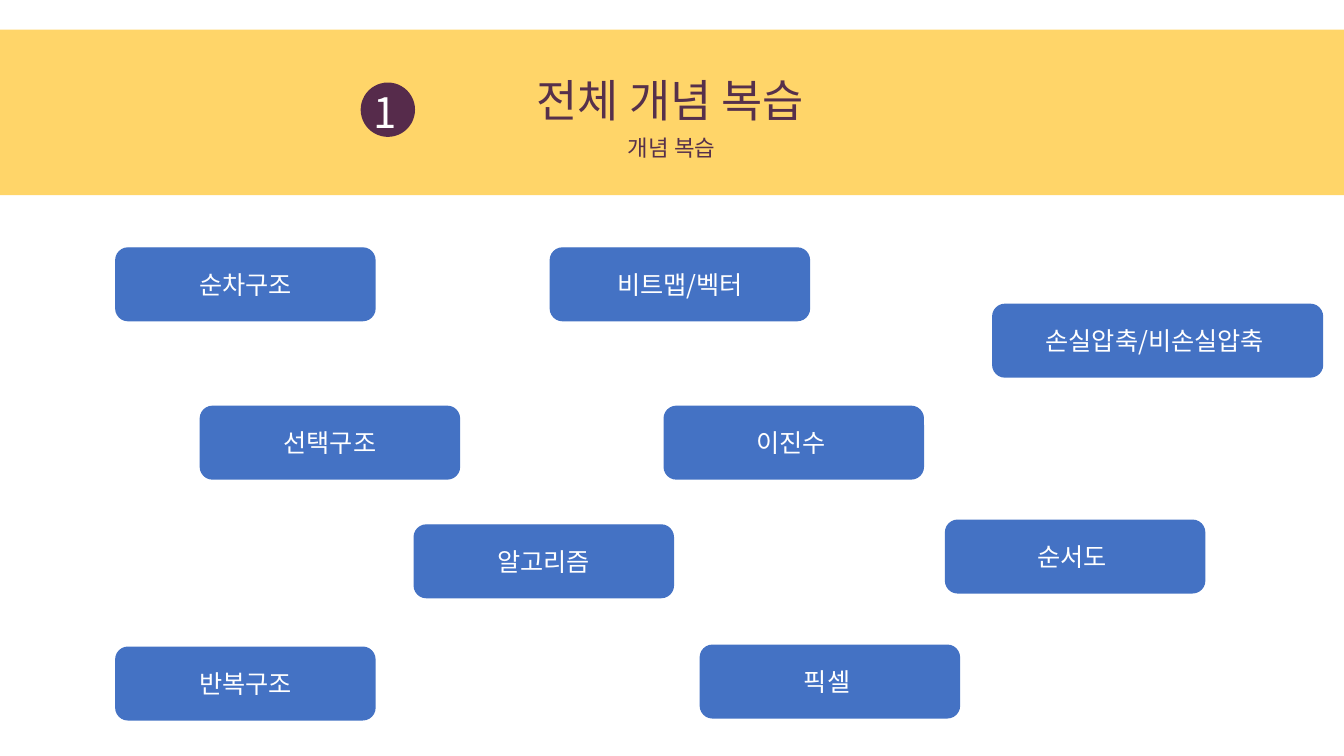
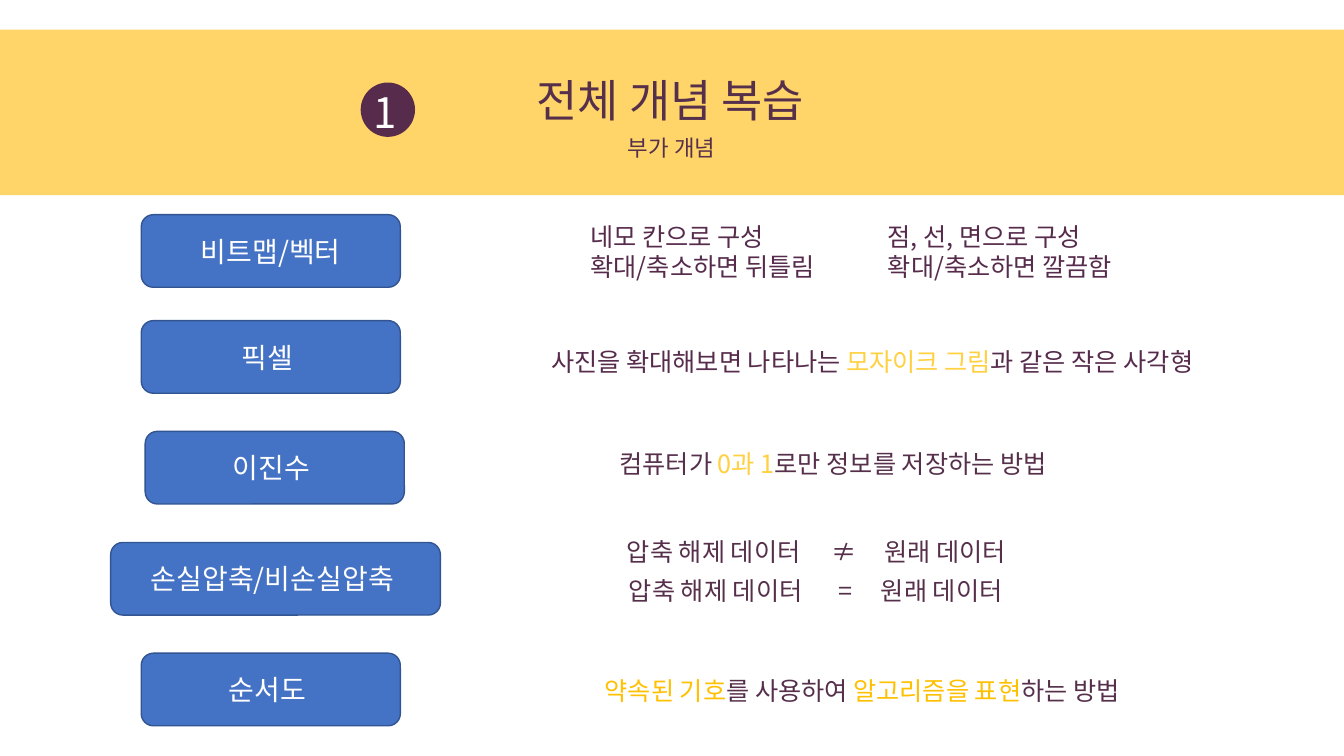
from dataclasses import dataclass

from lxml.etree import SubElement
from pptx import Presentation
from pptx.dml.color import RGBColor
from pptx.enum.shapes import MSO_SHAPE as Preset
from pptx.enum.text import MSO_ANCHOR as Anchor, MSO_AUTO_SIZE as AutoSize, PP_ALIGN as Align
from pptx.oxml.ns import qn
from pptx.shapes.autoshape import Shape
from pptx.slide import Slide
from pptx.text.text import TextFrame, _Paragraph as Paragraph, _Run as Run
from pptx.util import Cm, Pt


@dataclass(frozen=True)
class Theme:
    font: str = "Noto Sans CJK KR"
    band: str = "FFD569"
    title: str = "56304B"
    plum: str = "562B4B"
    white: str = "FFFFFF"
    blue: str = "4472C4"
    navy: str = "325491"
    yellow: str = "FFD040"
    amber: str = "FFC000"
    title_size: int = 32
    badge_size: int = 30
    chip_size: int = 20
    body_size: int = 18
    subtitle_size: int = 16


THEME = Theme()
SLIDE_WIDTH, SLIDE_HEIGHT = 33.87, 19.05
CHIP_HEIGHT = 1.83
CHIP_WIDTH, WIDE_CHIP_WIDTH = 6.53, 8.31


@dataclass(frozen=True)
class Box:
    left: float
    top: float
    width: float
    height: float

    def lengths(self) -> tuple[Cm, Cm, Cm, Cm]:
        return Cm(self.left), Cm(self.top), Cm(self.width), Cm(self.height)


@dataclass(frozen=True)
class Chip:
    label: str
    left: float
    top: float
    width: float = CHIP_WIDTH


@dataclass(frozen=True)
class Span:
    text: str
    color: str


@dataclass(frozen=True)
class Definition:
    box: Box
    spans: tuple[Span, ...]
    align: Align = Align.LEFT


@dataclass(frozen=True)
class Comparison:
    sign: str
    left: float
    top: float
    result_tab: float


CONCEPT_CHIPS = (
    Chip("순차구조", 2.92, 6.25),
    Chip("선택구조", 5.05, 10.24),
    Chip("알고리즘", 10.44, 13.23),
    Chip("반복구조", 2.92, 16.31),
    Chip("비트맵/벡터", 13.87, 6.25),
    Chip("이진수 ", 16.74, 10.24),
    Chip("손실압축/비손실압축 ", 25.02, 7.67, WIDE_CHIP_WIDTH),
    Chip("순서도 ", 23.83, 13.11),
    Chip("픽셀 ", 17.65, 16.26),
)

EXTRA_CHIPS = (
    Chip("비트맵/벡터", 3.56, 5.41),
    Chip("픽셀 ", 3.56, 8.08),
    Chip("이진수 ", 3.66, 10.87),
    Chip("손실압축/비손실압축 ", 2.79, 13.67, WIDE_CHIP_WIDTH),
    Chip("순서도 ", 3.56, 16.46),
)

IMAGE_TYPES = (
    (Box(14.63, 5.44, 7, 1.8), "네모 칸으로 구성\n확대/축소하면 뒤틀림"),
    (Box(22.12, 5.44, 7, 1.8), "점, 선, 면으로 구성\n확대/축소하면 깔끔함"),
)

DEFINITIONS = (
    Definition(Box(13.64, 8.61, 16.97, 1.02), (
        Span("사진을 확대해보면 나타나는 ", THEME.plum),
        Span("모자이크 그림", THEME.yellow),
        Span("과 같은 작은 사각형", THEME.plum),
    )),
    Definition(Box(13.54, 11.18, 14.91, 1.02), (
        Span("컴퓨터가 ", THEME.title),
        Span("0과 1", THEME.yellow),
        Span("로만 정보를 저장하는 방법", THEME.title),
    ), Align.CENTER),
    Definition(Box(14.99, 16.89, 13.97, 1.04), (
        Span("약속된 기호", THEME.amber),
        Span("를 사용하여 ", THEME.title),
        Span("알고리즘을 표현", THEME.amber),
        Span("하는 방법", THEME.title),
    )),
)

SIGN_TAB = 5.46
COMPARISONS = (
    Comparison("≠", 15.8, 13.51, 6.48),
    Comparison("=", 15.85, 14.5, 6.35),
)


def rgb(color: str) -> RGBColor:
    return RGBColor.from_string(color)


def format_run(run: Run, size: int, color: str) -> None:
    run.font.name = THEME.font
    run.font.size = Pt(size)
    run.font.bold = False
    run.font.color.rgb = rgb(color)
    SubElement(run.font._element, qn("a:ea"), typeface=THEME.font)


def format_frame(frame: TextFrame, size: int, color: str, align: Align = Align.LEFT) -> None:
    for paragraph in frame.paragraphs:
        paragraph.alignment = align
        for run in paragraph.runs:
            format_run(run, size, color)


def prepare_frame(frame: TextFrame, inset: bool = False) -> None:
    frame.word_wrap = True
    frame.auto_size = AutoSize.NONE
    frame.vertical_anchor = Anchor.TOP
    if not inset:
        frame.margin_left = frame.margin_right = 0
        frame.margin_top = frame.margin_bottom = 0


def remove_bullet(paragraph: Paragraph) -> None:
    properties = paragraph._p.get_or_add_pPr()
    properties.set("marL", "0")
    properties.set("indent", "0")
    SubElement(properties, qn("a:buNone"))
    paragraph.space_before = Pt(0)


def add_tabs(paragraph: Paragraph, stops: tuple[tuple[float, str], ...]) -> None:
    tabs = SubElement(paragraph._p.get_or_add_pPr(), qn("a:tabLst"))
    for position, align in stops:
        SubElement(tabs, qn("a:tab"), pos=str(Cm(position)), algn=align)


def place(shape: Shape, box: Box) -> None:
    shape.left, shape.top, shape.width, shape.height = box.lengths()


def add_filled(slide: Slide, preset: Preset, box: Box, fill: str, line: str | None = None) -> Shape:
    shape = slide.shapes.add_shape(preset, *box.lengths())
    shape.shadow.inherit = False
    shape.fill.solid()
    shape.fill.fore_color.rgb = rgb(fill)
    if line is None:
        shape.line.fill.background()
    else:
        shape.line.color.rgb = rgb(line)
        shape.line.width = Pt(1)
    return shape


def add_text(slide: Slide, box: Box, text: str, inset: bool = False) -> TextFrame:
    frame = slide.shapes.add_textbox(*box.lengths()).text_frame
    prepare_frame(frame, inset)
    frame.text = text
    return frame


def add_header(slide: Slide, subtitle: str) -> None:
    band = add_filled(slide, Preset.RECTANGLE, Box(0, 0.75, SLIDE_WIDTH, 4.17), THEME.band)
    slide.shapes._spTree.insert(2, band._element)
    title = slide.shapes.title
    place(title, Box(11.86, 1.83, 10.08, 1.37))
    prepare_frame(title.text_frame)
    title.text_frame.text = "전체 개념 복습"
    format_frame(title.text_frame, THEME.title_size, THEME.title, Align.CENTER)
    add_filled(slide, Preset.OVAL, Box(9.09, 2.08, 1.37, 1.37), THEME.plum)
    number = add_text(slide, Box(9.42, 2.18, 0.66, 1.27), "1")
    format_frame(number, THEME.badge_size, THEME.white)
    caption = add_text(slide, Box(15.82, 3.38, 2.21, 1.4), subtitle)
    format_frame(caption, THEME.subtitle_size, THEME.title, Align.CENTER)


def add_chip(slide: Slide, chip: Chip, size: int, line: str) -> None:
    box = Box(chip.left, chip.top, chip.width, CHIP_HEIGHT)
    shape = add_filled(slide, Preset.ROUNDED_RECTANGLE, box, THEME.blue, line)
    shape.text_frame.vertical_anchor = Anchor.MIDDLE
    shape.text_frame.text = chip.label
    format_frame(shape.text_frame, size, THEME.white, Align.CENTER)


def add_definition(slide: Slide, definition: Definition) -> None:
    frame = add_text(slide, definition.box, "", inset=True)
    paragraph = frame.paragraphs[0]
    paragraph.alignment = definition.align
    for span in definition.spans:
        run = paragraph.add_run()
        run.text = span.text
        format_run(run, THEME.body_size, span.color)


def add_comparison(slide: Slide, comparison: Comparison) -> None:
    text = f"압축 해제 데이터\t{comparison.sign}\t원래 데이터"
    frame = add_text(slide, Box(comparison.left, comparison.top, 12, 0.76), text)
    add_tabs(frame.paragraphs[0], ((SIGN_TAB, "ctr"), (comparison.result_tab, "l")))
    format_frame(frame, THEME.body_size, THEME.title)


def fill_body(shape: Shape, box: Box, text: str) -> None:
    place(shape, box)
    frame = shape.text_frame
    prepare_frame(frame, inset=True)
    frame.text = text
    for paragraph in frame.paragraphs:
        remove_bullet(paragraph)
    format_frame(frame, THEME.body_size, THEME.plum)


def build_concepts(presentation: Presentation) -> None:
    slide = presentation.slides.add_slide(presentation.slide_layouts.get_by_name("Title Only"))
    add_header(slide, "개념 복습")
    for chip in CONCEPT_CHIPS:
        add_chip(slide, chip, THEME.body_size, THEME.blue)


def build_extras(presentation: Presentation) -> None:
    slide = presentation.slides.add_slide(presentation.slide_layouts.get_by_name("Two Content"))
    add_header(slide, "부가 개념")
    for chip in EXTRA_CHIPS:
        add_chip(slide, chip, THEME.chip_size, THEME.navy)
    bodies = list(slide.placeholders)[1:]
    for body, (box, text) in zip(bodies, IMAGE_TYPES):
        fill_body(body, box, text)
    for definition in DEFINITIONS:
        add_definition(slide, definition)
    for comparison in COMPARISONS:
        add_comparison(slide, comparison)


def main() -> None:
    presentation = Presentation()
    presentation.slide_width = Cm(SLIDE_WIDTH)
    presentation.slide_height = Cm(SLIDE_HEIGHT)
    build_concepts(presentation)
    build_extras(presentation)
    presentation.save("out.pptx")


if __name__ == "__main__":
    main()
